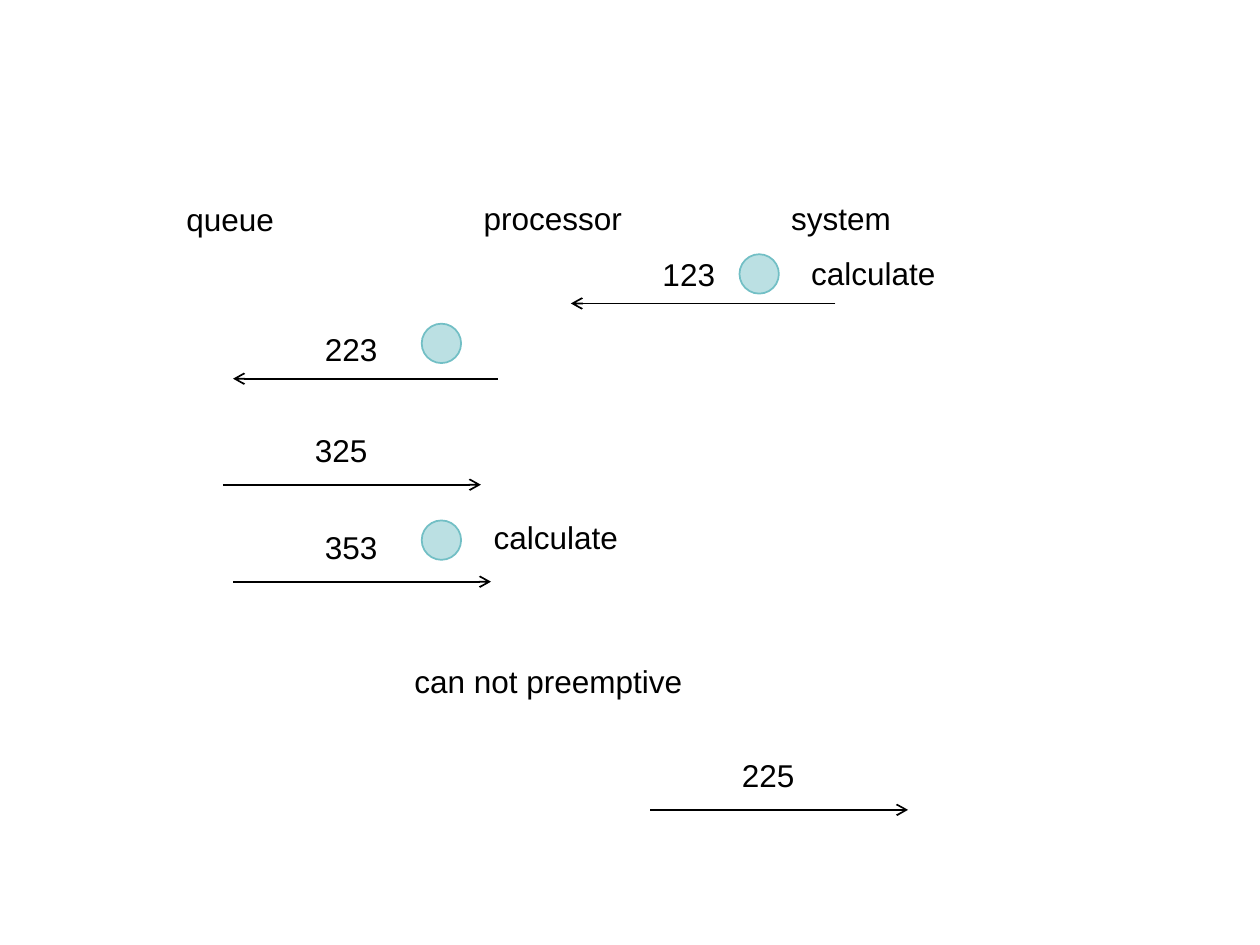
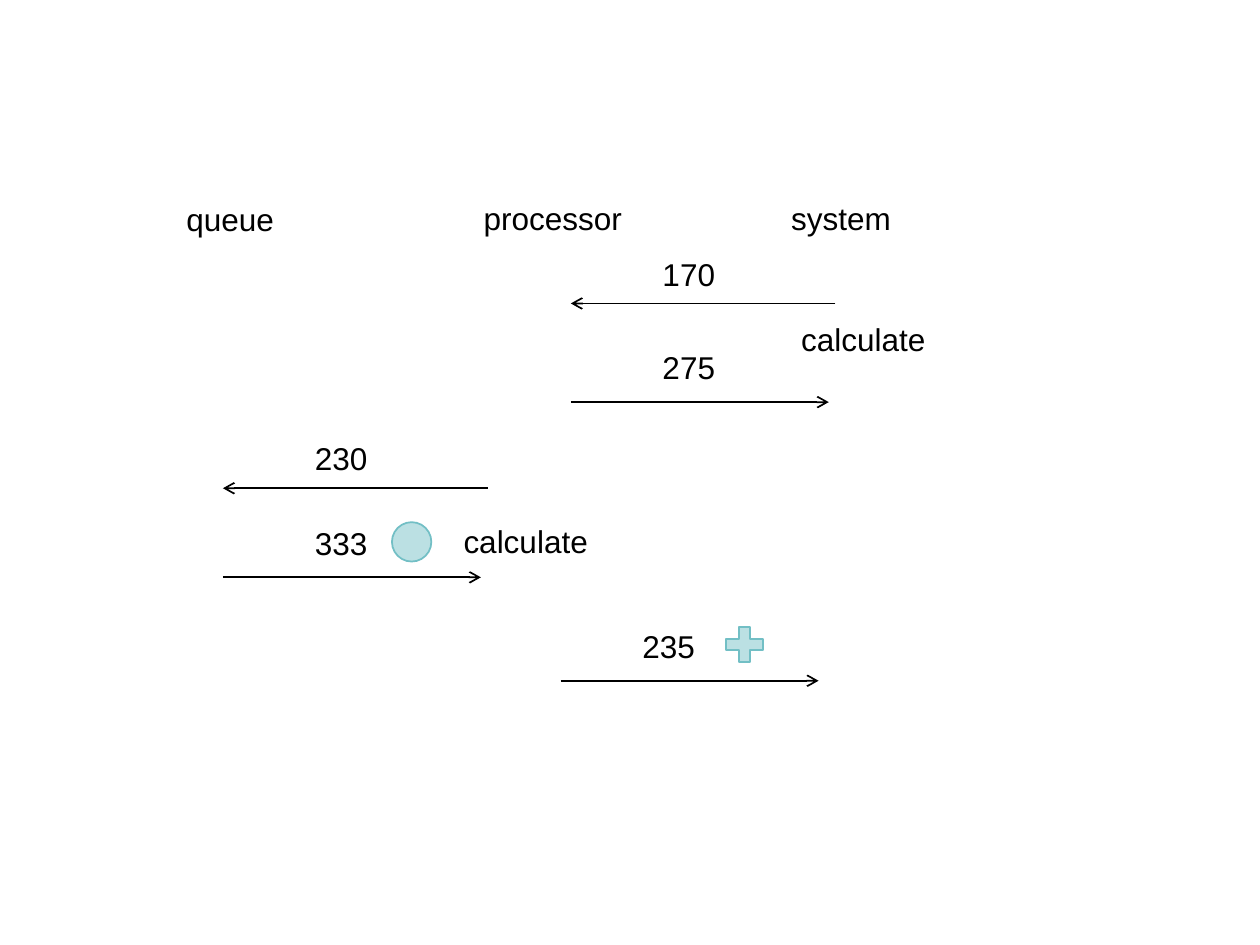
"""Build two slides that trace messages between queue, processor and system."""
import dataclasses

import lxml.etree
import pptx
import pptx.dml.color
import pptx.enum.shapes
import pptx.enum.text
import pptx.oxml.ns
import pptx.util

Pt = pptx.util.Pt
RGB = pptx.dml.color.RGBColor.from_string
SHAPE = pptx.enum.shapes.MSO_SHAPE


@dataclasses.dataclass(frozen=True)
class Theme:
    """Hold the colours, type and line sizes of both slides."""
    font: str = "Arial"
    size: float = 18
    ink: str = "000000"
    fill: str = "BBE0E3"
    outline: str = "72BFC5"
    line: float = 1


THEME = Theme()
TEXT_HEIGHT = 29
LABEL_WIDTH = 102
DOT = (22.5, 22.5)
PLUS = (28.8, 27.4)
ARROW_LENGTH = {"left": 151.2, "right": 147.4}
LABEL_RISE = {"left": 31.5, "right": 34.2}

# Texts are (text, left, top, width).
HEADINGS = [
    ("queue", 99.4, 110.9, 114),
    ("processor", 269.3, 110, 114),
    ("system", 445, 110, 114),
]

# Messages are (label, label left, arrow left, arrow y, direction).
SLIDES = [
    {
        "messages": [
            ("123", 371.5, 326.2, 173.4, "left"),
            ("223", 178.6, 133.2, 216.4, "left"),
            ("325", 172.8, 127.4, 277, "right"),
            ("353", 178.6, 133.2, 332.4, "right"),
            ("225", 416.9, 371.5, 462.8, "right"),
        ],
        "notes": [
            ("calculate", 456.5, 141.8, LABEL_WIDTH),
            ("calculate", 275, 292.5, LABEL_WIDTH),
            ("can not preemptive", 229.7, 375, 240),
        ],
        "marks": [
            (SHAPE.OVAL, 422.6, 145.3, DOT),
            (SHAPE.OVAL, 241, 185, DOT),
            (SHAPE.OVAL, 241, 297.4, DOT),
        ],
    },
    {
        "messages": [
            ("170", 371.5, 326.2, 173.4, "left"),
            ("275", 371.5, 326.2, 229.8, "right"),
            ("230", 172.8, 127.4, 279, "left"),
            ("333", 172.8, 127.4, 329.9, "right"),
            ("235", 360, 320.4, 389, "right"),
        ],
        "notes": [
            ("calculate", 450.7, 179.3, LABEL_WIDTH),
            ("calculate", 257.8, 295, LABEL_WIDTH),
        ],
        "marks": [
            (SHAPE.OVAL, 224, 298.4, DOT),
            (SHAPE.MATH_PLUS, 411.1, 354.7, PLUS),
        ],
    },
]


def add_text(s, text, left, top, width):
    """Add a one-line text box."""
    sp = s.shapes.add_textbox(Pt(left), Pt(top), Pt(width), Pt(TEXT_HEIGHT))
    tf = sp.text_frame
    tf.word_wrap = True
    tf.auto_size = pptx.enum.text.MSO_AUTO_SIZE.SHAPE_TO_FIT_TEXT
    tf.text = text
    font = tf.paragraphs[0].runs[0].font
    font.name, font.size = THEME.font, Pt(THEME.size)
    font.color.rgb = RGB(THEME.ink)


def add_message(s, label, label_left, left, y, direction):
    """Add an arrow in its direction with the label above it."""
    start, end = left, left + ARROW_LENGTH[direction]
    if direction == "left":
        start, end = end, start
    sp = s.shapes.add_connector(
        pptx.enum.shapes.MSO_CONNECTOR.STRAIGHT, Pt(start), Pt(y), Pt(end), Pt(y))
    sp.line.color.rgb = RGB(THEME.ink)
    sp.line.width = Pt(THEME.line)
    qn = pptx.oxml.ns.qn
    lxml.etree.SubElement(sp.line._get_or_add_ln(), qn("a:tailEnd"), type="arrow")
    lxml.etree.SubElement(sp._element.spPr, qn("a:effectLst"))
    add_text(s, label, label_left, y - LABEL_RISE[direction], LABEL_WIDTH)


def add_mark(s, kind, left, top, size):
    """Add a small filled mark."""
    width, height = size
    sp = s.shapes.add_shape(kind, Pt(left), Pt(top), Pt(width), Pt(height))
    sp.shadow.inherit = False
    sp.fill.solid()
    sp.fill.fore_color.rgb = RGB(THEME.fill)
    sp.line.color.rgb = RGB(THEME.outline)
    sp.line.width = Pt(THEME.line)


def main():
    """Build and save the presentation."""
    prs = pptx.Presentation()
    prs.slide_width, prs.slide_height = Pt(720), Pt(540)
    blank = prs.slide_layouts[6]
    for content in SLIDES:
        s = prs.slides.add_slide(blank)
        for message in content["messages"]:
            add_message(s, *message)
        for mark in content["marks"]:
            add_mark(s, *mark)
        for text in HEADINGS + content["notes"]:
            add_text(s, *text)
    prs.save("out.pptx")


if __name__ == "__main__":
    main()
